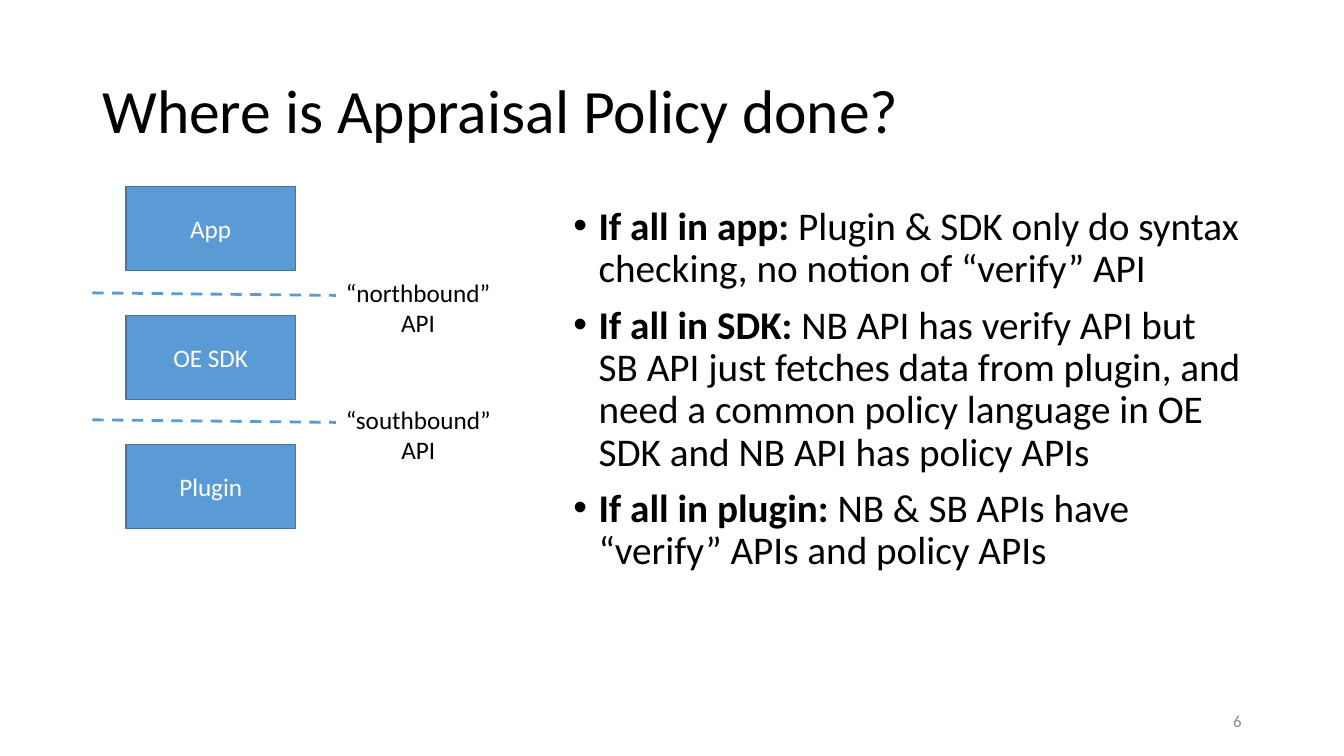
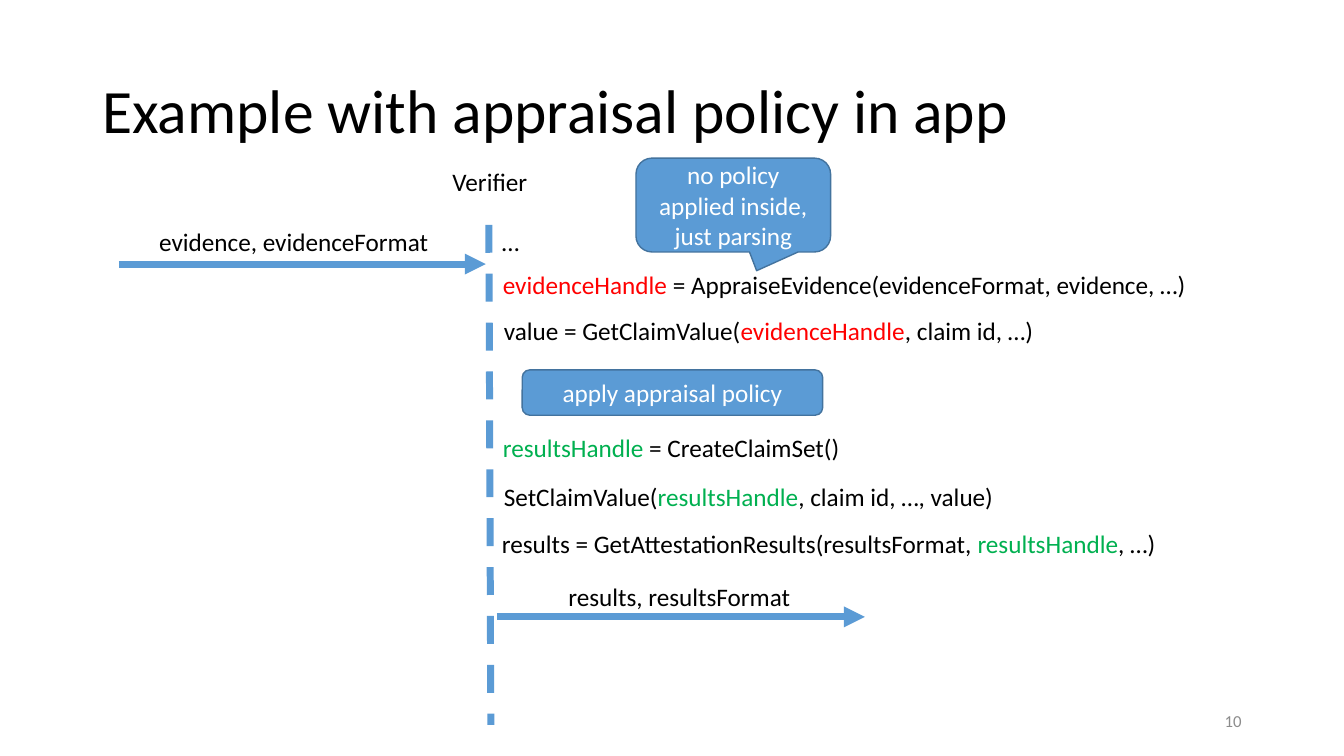
"""Build two slides on where appraisal policy is applied."""
import pptx
import pptx.util
import pptx.dml.color
import pptx.enum.dml
import pptx.enum.shapes
import pptx.enum.text
import pptx.oxml.ns
import lxml.etree

Pt = pptx.util.Pt
SHAPE = pptx.enum.shapes.MSO_SHAPE
ALIGN = pptx.enum.text.PP_ALIGN
ANCHOR = pptx.enum.text.MSO_ANCHOR

FONT = "Calibri"
BLACK, WHITE, GREY = "000000", "FFFFFF", "8C8C8C"
BLUE, BLUE_EDGE = "5B9BD5", "43739E"
RED, GREEN = "FF0000", "00B050"
TITLE_AREA = (66, 28.8, 828, 104.4)
NUMBER_AREA = (678, 500.4, 216, 28.8)

POLICY_TITLE, POLICY_NUMBER = "Where is Appraisal Policy done?", "6"
LAYERS = ["App", "OE SDK", "Plugin"]
INTERFACES = ["“northbound”", "“southbound”"]
CHOICES = [
    ("If all in app:", " Plugin & SDK only do syntax checking, no notion of “verify” API"),
    ("If all in SDK: ", "NB API has verify API but SB API just fetches data from plugin, "
     "and need a common policy language in OE SDK and NB API has policy APIs"),
    ("If all in plugin:", " NB & SB APIs have “verify” APIs and policy APIs"),
]

EXAMPLE_TITLE, EXAMPLE_NUMBER = "Example with appraisal policy in app", "10"
EVIDENCE, RESULTS = "evidenceHandle", "resultsHandle"
HANDLE_COLORS = {EVIDENCE: RED, RESULTS: GREEN}
CALLS = [
    (351.4, 158.4, 27.4, ["…"]),
    (352.1, 188.6, 508.3, [EVIDENCE, " = AppraiseEvidence(evidenceFormat, evidence, …)"]),
    (352.8, 221.8, 406.8, ["value = GetClaimValue(", EVIDENCE, ", claim id, …)"]),
    (352.1, 305.3, 257.8, [RESULTS, " = CreateClaimSet()"]),
    (352.8, 340.6, 367.9, ["SetClaimValue(", RESULTS, ", claim id, …, value)"]),
    (351.4, 373.7, 496.1, ["results = GetAttestationResults(resultsFormat, ", RESULTS, ", …)"]),
]
LABELS = [
    (316.1, 115.2, 68.4, "Verifier"),
    (106.6, 158.4, 209.5, "evidence, evidenceFormat"),
    (398.9, 411.8, 174.2, "results, resultsFormat"),
]
ARROWS = [(85, 188.6, 347), (355, 440.6, 617.8)]
LABEL_HEIGHT = 28.8


def rgb(value):
    return pptx.dml.color.RGBColor.from_string(value)


def write(frame, paragraphs, size=18, color=BLACK, aligns=None, anchor=ANCHOR.TOP,
          wrap=True, spacing=None, before=None, bullet=None):
    """Fill a frame with paragraphs, each a list of (text, format) runs."""
    frame.word_wrap = wrap
    frame.vertical_anchor = anchor
    if not wrap:
        frame.auto_size = pptx.enum.text.MSO_AUTO_SIZE.SHAPE_TO_FIT_TEXT
    for index, runs in enumerate(paragraphs):
        paragraph = frame.add_paragraph() if index else frame.paragraphs[0]
        paragraph.alignment = aligns[index] if aligns else ALIGN.LEFT
        if spacing:
            paragraph.line_spacing = spacing
        if before:
            paragraph.space_before = Pt(before)
        if bullet:
            properties = paragraph._p.get_or_add_pPr()
            properties.set("marL", str(Pt(18)))
            properties.set("indent", str(Pt(-18)))
            for tag, key, value in (("a:buFont", "typeface", "Arial"), ("a:buChar", "char", bullet)):
                lxml.etree.SubElement(properties, pptx.oxml.ns.qn(tag)).set(key, value)
        for text, style in runs:
            run = paragraph.add_run()
            run.text = text
            run.font.name = FONT
            run.font.size = Pt(size)
            run.font.bold = style.get("bold", False)
            run.font.color.rgb = rgb(style.get("color", color))


def add_text(slide, area, paragraphs, **style):
    write(slide.shapes.add_textbox(*map(Pt, area)).text_frame, paragraphs, **style)


def add_block(slide, kind, area, text, adjustments=()):
    block = slide.shapes.add_shape(kind, *map(Pt, area))
    block.shadow.inherit = False
    block.fill.solid()
    block.fill.fore_color.rgb = rgb(BLUE)
    block.line.color.rgb = rgb(BLUE_EDGE)
    block.line.width = Pt(1)
    for index, value in enumerate(adjustments):
        block.adjustments[index] = value
    write(block.text_frame, [[(text, {})]], color=WHITE, aligns=[ALIGN.CENTER], anchor=ANCHOR.MIDDLE)


def add_line(slide, ends, width, dashed=False, arrow=False):
    straight = pptx.enum.shapes.MSO_CONNECTOR.STRAIGHT
    line = slide.shapes.add_connector(straight, *map(Pt, ends))
    line.line.color.rgb = rgb(BLUE)
    line.line.width = Pt(width)
    if dashed:
        line.line.dash_style = pptx.enum.dml.MSO_LINE.DASH
    if arrow:
        outline = line.line._get_or_add_ln()
        lxml.etree.SubElement(outline, pptx.oxml.ns.qn("a:tailEnd")).set("type", "triangle")
    lxml.etree.SubElement(line._element.spPr, pptx.oxml.ns.qn("a:effectLst"))


def add_slide(deck, title, number):
    slide = deck.slides.add_slide(deck.slide_layouts[6])
    add_text(slide, TITLE_AREA, [[(title, {})]], size=44, anchor=ANCHOR.MIDDLE, spacing=0.9)
    add_text(slide, NUMBER_AREA, [[(number, {})]], size=12, color=GREY,
             aligns=[ALIGN.RIGHT], anchor=ANCHOR.MIDDLE)
    return slide


def build_policy(deck):
    slide = add_slide(deck, POLICY_TITLE, POLICY_NUMBER)
    for row, layer in enumerate(LAYERS):
        add_block(slide, SHAPE.RECTANGLE, (90, 133.2 + 92.1 * row, 121, 60), layer)
    for row, interface in enumerate(INTERFACES):
        shift = 90.7 * row
        add_line(slide, (66, 209.2 + shift, 240, 211 + shift), 2, dashed=True)
        add_text(slide, (240, 194.4 + shift, 118.8, 51), [[(interface, {})], [("API", {})]],
                 aligns=[ALIGN.LEFT, ALIGN.CENTER], wrap=False)
    choices = [[(case, {"bold": True}), (effect, {})] for case, effect in CHOICES]
    add_text(slide, (402.5, 144, 491, 342.7), choices, size=28, spacing=0.9, before=10, bullet="•")


def build_example(deck):
    slide = add_slide(deck, EXAMPLE_TITLE, EXAMPLE_NUMBER)
    add_line(slide, (349.2, 160.6, 350.6, 517.7), 5, dashed=True)
    for left, top, width, parts in CALLS:
        runs = [(part, {"color": HANDLE_COLORS.get(part, BLACK)}) for part in parts]
        add_text(slide, (left, top, width, LABEL_HEIGHT), [runs], wrap=False)
    for left, top, width, label in LABELS:
        add_text(slide, (left, top, width, LABEL_HEIGHT), [[(label, {})]], wrap=False)
    for start, height, end in ARROWS:
        add_line(slide, (start, height, end, height), 5, arrow=True)
    add_block(slide, SHAPE.ROUNDED_RECTANGULAR_CALLOUT, (454.3, 113, 139, 67),
              "no policy applied inside, just parsing", (0.12, 0.7, 0.17))
    add_block(slide, SHAPE.ROUNDED_RECTANGLE, (373, 264.2, 214.6, 32.4), "apply appraisal policy")


deck = pptx.Presentation()
deck.slide_width, deck.slide_height = Pt(960), Pt(540)
build_policy(deck)
build_example(deck)
deck.save("out.pptx")
